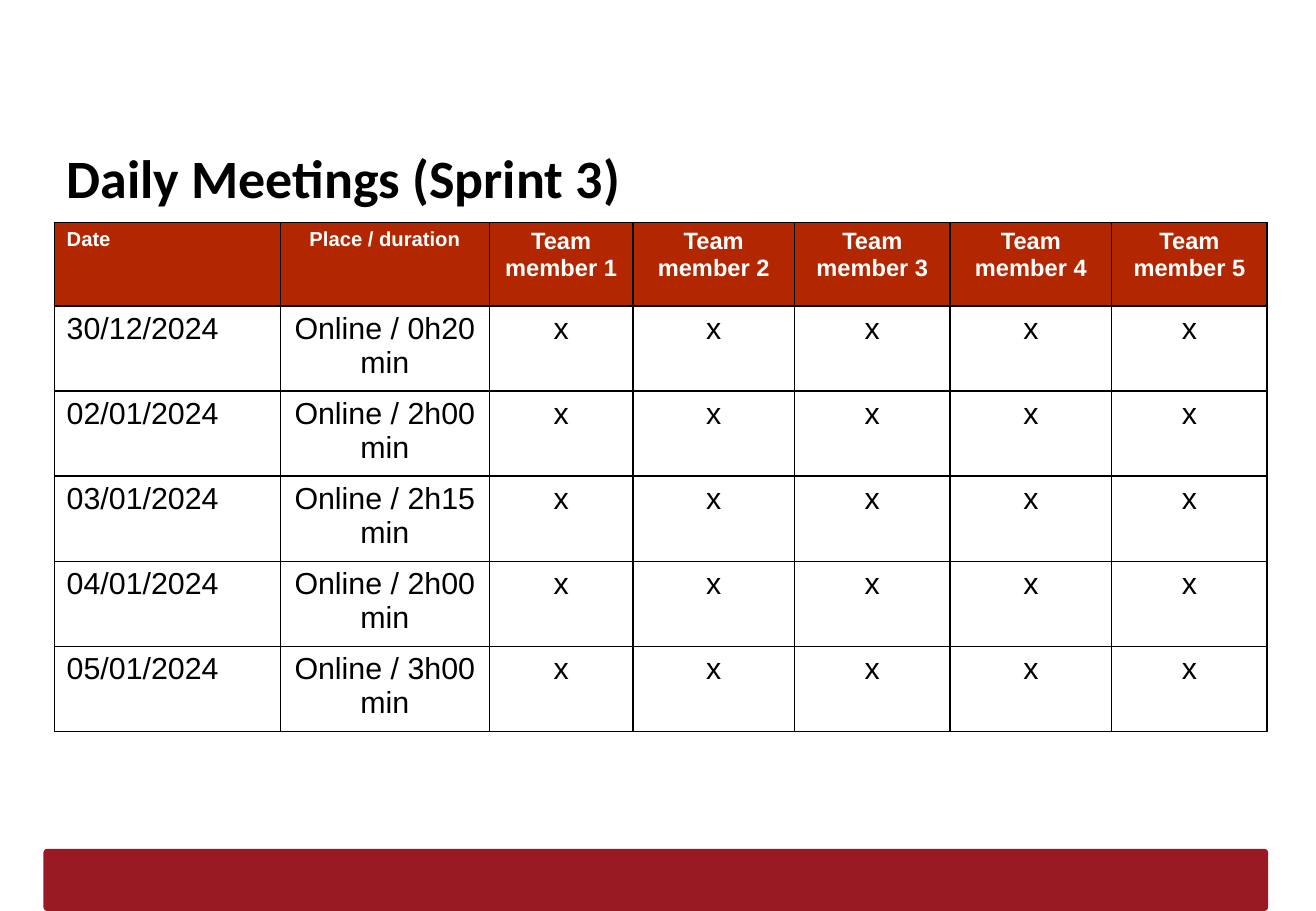
import pptx
import pptx.util
import pptx.dml.color
import pptx.enum.shapes
import pptx.enum.text
import lxml.etree
from pptx.util import Cm

COLORS = {"bar": "9A1A24", "header": "B22600", "white": "FFFFFF", "black": "000000"}
MEMBERS = 5
MEETINGS = [
    ("30/12/2024", "0h20"),
    ("02/01/2024", "2h00"),
    ("03/01/2024", "2h15"),
    ("04/01/2024", "2h00"),
    ("05/01/2024", "3h00"),
]
COL_WIDTHS = [4.72, 4.37, 3.0, 3.38, 3.25, 3.38, 3.25]
HEADER_HEIGHT, ROW_HEIGHT = 1.75, 1.68
ALIGN = pptx.enum.text.PP_ALIGN


def rgb(name):
    return pptx.dml.color.RGBColor.from_string(COLORS[name])


def style_font(font, name, size, color, bold):
    font.name = name
    font.size = pptx.util.Pt(size)
    font.bold = bold
    font.color.rgb = rgb(color)


def add_border(cell):
    tcPr = cell._tc.get_or_add_tcPr()
    ns = pptx.oxml.ns.nsdecls("a")
    for i, side in enumerate(("lnL", "lnR", "lnT", "lnB")):
        tcPr.insert(i, pptx.oxml.parse_xml(
            f'<a:{side} {ns} w="12700"><a:solidFill>'
            f'<a:srgbClr val="{COLORS["black"]}"/></a:solidFill></a:{side}>'))


def add_footer_bar(s, x, y, w, h):
    sp = s.shapes.add_shape(pptx.enum.shapes.MSO_SHAPE.ROUNDED_RECTANGLE,
                            Cm(x), Cm(y), Cm(w), Cm(h))
    sp.adjustments[0] = 0.06
    sp.shadow.inherit = False
    sp.fill.solid()
    sp.fill.fore_color.rgb = rgb("bar")
    sp.line.fill.background()


def add_title(s, x, y, w, h):
    tf = s.shapes.add_textbox(Cm(x), Cm(y), Cm(w), Cm(h)).text_frame
    tf.word_wrap = True
    tf.vertical_anchor = pptx.enum.text.MSO_ANCHOR.TOP
    tf.margin_left = tf.margin_right = tf.margin_top = tf.margin_bottom = Cm(0.25)
    tf.text = "Daily Meetings (Sprint 3)"
    style_font(tf.paragraphs[0].runs[0].font, "Calibri", 32, "black", True)


def add_meetings_table(s, x, y):
    rows = [["Date", "Place / duration"]
            + [f"Team member {n}" for n in range(1, MEMBERS + 1)]]
    rows += [[date, f"Online / {duration} min"] + ["x"] * MEMBERS
             for date, duration in MEETINGS]
    heights = [HEADER_HEIGHT] + [ROW_HEIGHT] * len(MEETINGS)
    table = s.shapes.add_table(len(rows), len(COL_WIDTHS), Cm(x), Cm(y),
                               Cm(sum(COL_WIDTHS)), Cm(sum(heights))).table
    table.horz_banding = False
    for col, width in zip(table.columns, COL_WIDTHS):
        col.width = Cm(width)
    for i, texts in enumerate(rows):
        table.rows[i].height = Cm(heights[i])
        header = i == 0
        for j, text in enumerate(texts):
            cell = table.cell(i, j)
            cell.fill.solid()
            cell.fill.fore_color.rgb = rgb("header" if header else "white")
            add_border(cell)
            cell.text_frame.text = text
            p = cell.text_frame.paragraphs[0]
            p.alignment = ALIGN.LEFT if j == 0 else ALIGN.CENTER
            size = (12 if j < 2 else 14) if header else 18
            style_font(p.runs[0].font, "Arial", size,
                       "white" if header else "black", header)


def main():
    prs = pptx.Presentation()
    prs.slide_width, prs.slide_height = Cm(27.51), Cm(19.05)
    s = prs.slides.add_slide(prs.slide_layouts[6])
    add_footer_bar(s, 0.91, 17.75, 25.6, 1.3)
    add_title(s, 1.14, 2.77, 25.12, 1.6)
    add_meetings_table(s, 1.14, 4.65)
    prs.save("out.pptx")


if __name__ == "__main__":
    main()
